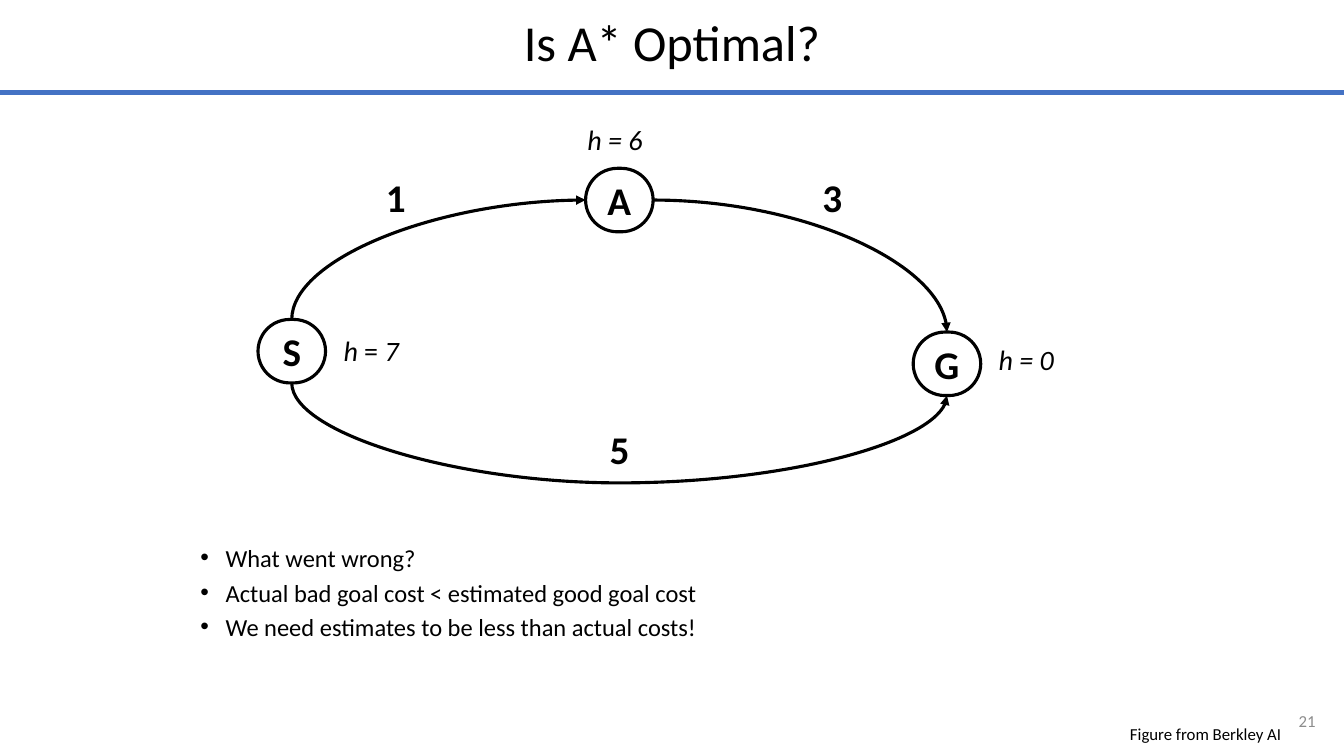
from lxml import etree
from pptx import Presentation
from pptx.dml.color import RGBColor
from pptx.enum.shapes import MSO_CONNECTOR, MSO_SHAPE
from pptx.enum.text import MSO_ANCHOR, MSO_AUTO_SIZE, PP_ALIGN
from pptx.oxml.ns import qn
from pptx.util import Pt

STRAIGHT, CURVE = MSO_CONNECTOR.STRAIGHT, MSO_CONNECTOR.CURVE
ROUND_RECT = MSO_SHAPE.ROUNDED_RECTANGLE
TOP, MIDDLE = MSO_ANCHOR.TOP, MSO_ANCHOR.MIDDLE
LEFT, CENTER, RIGHT = PP_ALIGN.LEFT, PP_ALIGN.CENTER, PP_ALIGN.RIGHT
NO_AUTOFIT = MSO_AUTO_SIZE.NONE

BLACK = RGBColor(0x00, 0x00, 0x00)
GRAY = RGBColor(0x8C, 0x8C, 0x8C)
BLUE = RGBColor(0x44, 0x72, 0xC4)

FONT = "Calibri"
SLIDE_W, SLIDE_H = 960, 540
NODE_W, NODE_H = 48.24, 45.36
SITE_TOP, SITE_LEFT, SITE_BOTTOM, SITE_RIGHT = range(4)

COST = dict(size=Pt(28), bold=True)
HEURISTIC = dict(size=Pt(20), italic=True)


def set_font(font, color=BLACK, **values):
    font.name = FONT
    font.color.rgb = color
    for name, value in values.items():
        setattr(font, name, value)


def set_paragraph(p, runs, values, align=LEFT, color=BLACK):
    """Fill a paragraph with (text, extra font values) runs."""
    p.alignment = align
    for text, extra in runs:
        r = p.add_run()
        r.text = text
        set_font(r.font, color, **{**values, **extra})


def add_text(s, box, runs, values, align=LEFT, color=BLACK, anchor=TOP):
    sp = s.shapes.add_textbox(*map(Pt, box))
    tf = sp.text_frame
    tf.word_wrap = True
    tf.vertical_anchor = anchor
    set_paragraph(tf.paragraphs[0], runs, values, align, color)
    return tf


def add_bullets(s, box, lines):
    tf = add_text(s, box, [], {})
    for i, line in enumerate(lines):
        p = tf.paragraphs[0] if i == 0 else tf.add_paragraph()
        p.line_spacing = 0.7
        p.space_before = Pt(10 if i else 0)
        pPr = p._p.get_or_add_pPr()
        pPr.set("marL", str(Pt(18)))
        pPr.set("indent", str(-Pt(18)))
        etree.SubElement(pPr, qn("a:buFont")).set("typeface", "Arial")
        etree.SubElement(pPr, qn("a:buChar")).set("char", "•")
        set_paragraph(p, [(line, {})], dict(size=Pt(17.5)))


def add_node(s, name, left, top):
    sp = s.shapes.add_shape(ROUND_RECT, *map(Pt, (left, top, NODE_W, NODE_H)))
    sp.adjustments[0] = 0.5
    sp.shadow.inherit = False
    sp.fill.background()
    sp.line.color.rgb = BLACK
    sp.line.width = Pt(2.25)
    tf = sp.text_frame
    tf.word_wrap = False
    tf.vertical_anchor = MIDDLE
    set_paragraph(tf.paragraphs[0], [(name, {})], COST, CENTER)
    return sp


def add_line(s, kind, color, width, ends=(0, 0, 0, 0)):
    line = s.shapes.add_connector(kind, *map(Pt, ends))
    line.line.color.rgb = color
    line.line.width = Pt(width)
    etree.SubElement(line._element.spPr, qn("a:effectLst"))
    return line


def add_edge(s, start, start_site, end, end_site, preset, rot=0, flips=(), bend=None):
    """Glue a curved arrow to two nodes and turn it to leave the right way."""
    edge = add_line(s, CURVE, BLACK, 2.25)
    edge.begin_connect(start, start_site)
    edge.end_connect(end, end_site)

    # A quarter turn swaps width and height about the same centre
    if rot in (90, 270):
        w, h = edge.width, edge.height
        edge.left += (w - h) // 2
        edge.top += (h - w) // 2
        edge.width, edge.height = h, w
    spPr = edge._element.spPr
    xfrm = spPr.find(qn("a:xfrm"))
    for flip in ("flipH", "flipV"):
        xfrm.attrib.pop(flip, None)
        if flip in flips:
            xfrm.set(flip, "1")
    if rot:
        xfrm.set("rot", str(rot * 60000))

    # Curve form and arrowhead
    geom = spPr.find(qn("a:prstGeom"))
    geom.set("prst", preset)
    if bend is not None:
        guides = geom.get_or_add_avLst()
        guide = etree.SubElement(guides, qn("a:gd"))
        guide.set("name", "adj1")
        guide.set("fmla", f"val {round(bend * 100000)}")
    etree.SubElement(spPr.find(qn("a:ln")), qn("a:tailEnd")).set("type", "triangle")


def add_title(s, text):
    title = s.shapes.title
    title.left, title.top, title.width, title.height = map(Pt, (0, -1.44, SLIDE_W, 67.68))
    tf = title.text_frame
    tf.auto_size = NO_AUTOFIT
    tf.vertical_anchor = MIDDLE
    p = tf.paragraphs[0]
    p.line_spacing = 0.9
    set_paragraph(p, [(text, {})], dict(size=Pt(36)), CENTER)
    add_line(s, STRAIGHT, BLUE, 3.75, (0, 66.24, SLIDE_W, 66.24))


def main():
    prs = Presentation()
    prs.slide_width, prs.slide_height = Pt(SLIDE_W), Pt(SLIDE_H)
    s = prs.slides.add_slide(prs.slide_layouts[5])

    # Title and footer
    add_title(s, "Is A* Optimal?")
    add_text(s, (897.84, 500.4, 48.96, 28.8), [("21", {})], dict(size=Pt(12)),
             RIGHT, GRAY, MIDDLE)
    credit = add_text(s, (779.76, 514.8, 142.56, 19.44),
                      [("Figure from Berkley AI", {})], dict(size=Pt(12)), RIGHT)
    credit.paragraphs[0].line_spacing = 0.9

    # Conclusions
    add_bullets(s, (136.08, 390.24, 753.84, 74.16), [
        "What went wrong?",
        "Actual bad goal cost < estimated good goal cost",
        "We need estimates to be less than actual costs!",
    ])

    # Graph nodes
    a = add_node(s, "A", 418.32, 120.24)
    g = add_node(s, "G", 652.32, 237.2)
    start = add_node(s, "S", 184.32, 228.2)

    # Step costs
    for cost, box, align in (
        ("1", (268.56, 120.24, 36, 41.04), LEFT),
        ("3", (580.32, 120.24, 36, 41.04), LEFT),
        ("5", (-37.44, 300.24, SLIDE_W, 41.04), CENTER),
    ):
        add_text(s, box, [(cost, {})], COST, align)

    # Heuristic values
    for runs, box in (
        ([("h = 6", {})], (412.56, 84.24, 72, 31.68)),
        ([("h = 0", {})], (706.32, 241.2, 72, 31.68)),
        ([("h", {}), (" = ", dict(italic=False)), ("7", {})],
         (238.32, 234.72, 59.76, 31.68)),
    ):
        add_text(s, box, runs, HEURISTIC)

    # Graph edges
    add_edge(s, start, SITE_BOTTOM, g, SITE_BOTTOM, "curvedConnector3",
             270, ("flipH",), 7.92)
    add_edge(s, start, SITE_TOP, a, SITE_LEFT, "curvedConnector2",
             90, ("flipH", "flipV"))
    add_edge(s, a, SITE_RIGHT, g, SITE_TOP, "curvedConnector2")

    prs.save("out.pptx")


if __name__ == "__main__":
    main()
